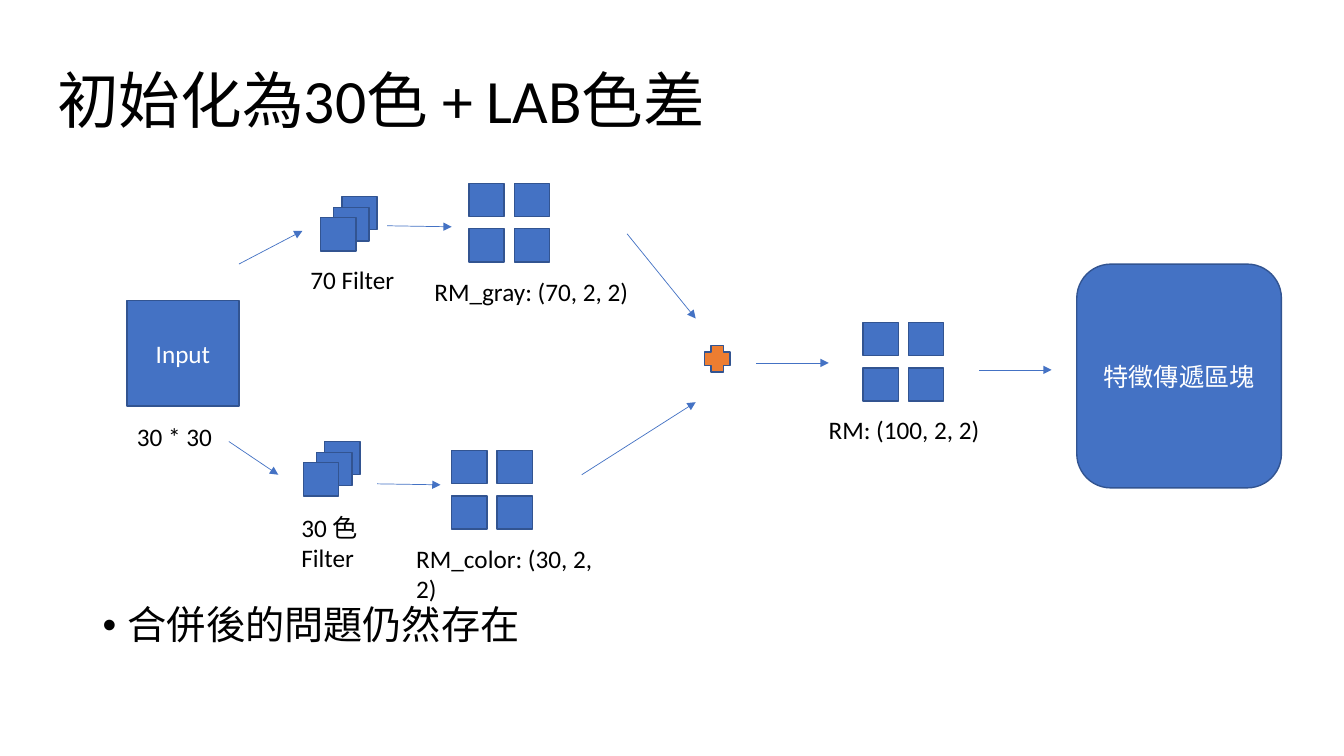
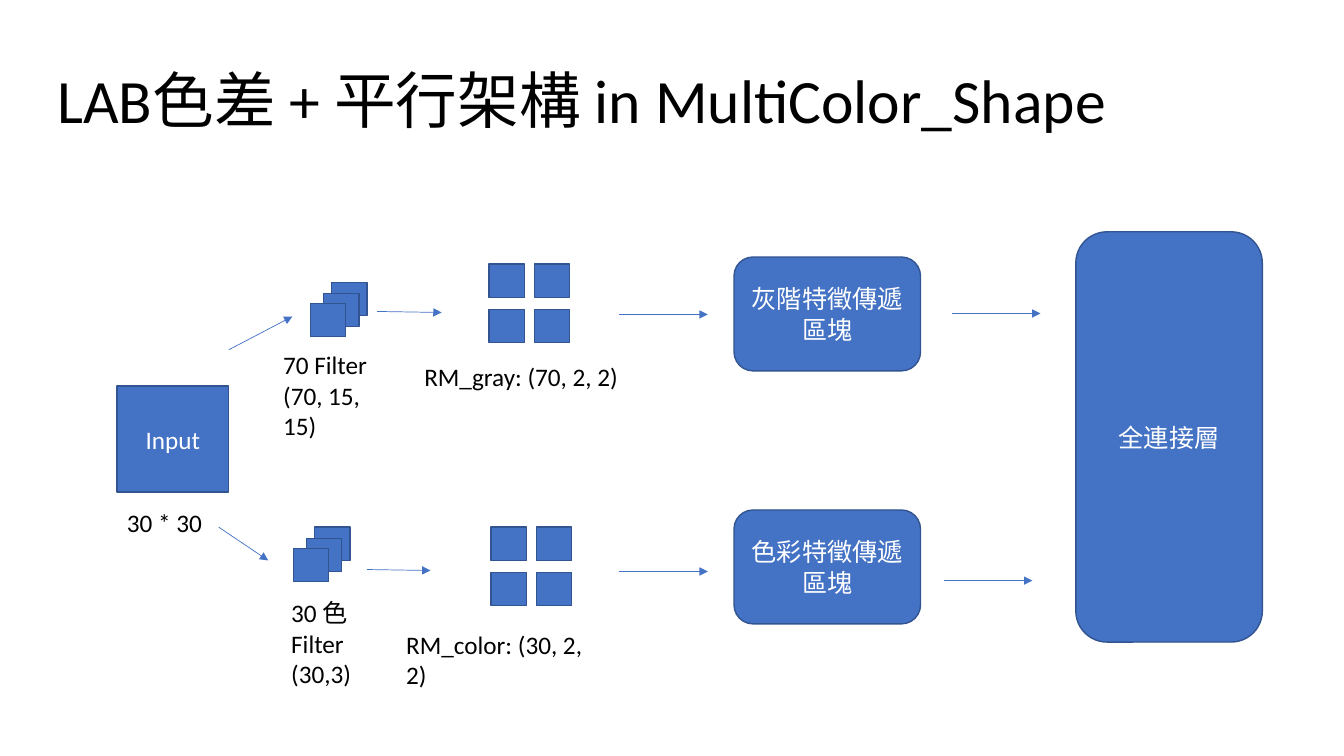
from dataclasses import dataclass
from itertools import product

from lxml.etree import SubElement
from pptx import Presentation
from pptx.dml.color import RGBColor
from pptx.enum.shapes import MSO_CONNECTOR as Connector, MSO_SHAPE as Preset
from pptx.enum.text import MSO_ANCHOR as Anchor, PP_ALIGN as Align
from pptx.oxml.ns import qn
from pptx.util import Inches, Pt


@dataclass(frozen=True)
class Theme:
    font: str = "Calibri"
    ink: str = "000000"
    paper: str = "FFFFFF"
    block: str = "4472C4"
    outline: str = "325491"
    accent: str = "ED7D31"
    title_size: int = 44
    body_size: int = 28
    label_size: int = 18
    outline_width: float = 1
    arrow_width: float = 0.5


@dataclass(frozen=True)
class Branch:
    """One filter path; every place is relative to the filter stack."""
    stack: tuple
    filter_label: tuple
    arrow: tuple
    map_label: tuple
    map_text: str


THEME = Theme()

# The grid has ten columns and ten rows to the inch
CELL = Inches(0.1)
TILE_W, TILE_H, TILE_STEP = 3.5, 3.3, 4.5
STACK_OFFSETS = ((2.1, 0), (1.3, 1.1), (0, 2.1))

GRAY = Branch((19.2, -10.3), (-2, 6.2), (6.6, 2.9, 13, 3),
              (10.3, 7.4), "RM_gray: (70, 2, 2)")
COLOR = Branch((17.5, 14), (-1.2, 6.5), (7.3, 4.2, 13.6, 4.3),
               (10.2, 9.6), "RM_color: (30, 2, 2)")


def cells(*counts):
    return [round(count * CELL) for count in counts]


def rgb(value):
    return RGBColor.from_string(value)


def style_text(frame, size, color):
    frame.word_wrap = True
    for paragraph in frame.paragraphs:
        for run in paragraph.runs:
            run.font.name = THEME.font
            run.font.size = Pt(size)
            run.font.color.rgb = rgb(color)


def add_text(slide, box, text, size=THEME.label_size):
    frame = slide.shapes.add_textbox(*cells(*box)).text_frame
    frame.text = text
    style_text(frame, size, THEME.ink)
    return frame


def add_block(slide, box, text="", preset=Preset.RECTANGLE, fill=THEME.block):
    block = slide.shapes.add_shape(preset, *cells(*box))
    block.shadow.inherit = False
    block.fill.solid()
    block.fill.fore_color.rgb = rgb(fill)
    block.line.color.rgb = rgb(THEME.outline)
    block.line.width = Pt(THEME.outline_width)
    if text:
        frame = block.text_frame
        frame.text = text
        frame.vertical_anchor = Anchor.MIDDLE
        frame.paragraphs[0].alignment = Align.CENTER
        style_text(frame, THEME.label_size, THEME.paper)


def add_arrow(slide, x1, y1, x2, y2):
    arrow = slide.shapes.add_connector(Connector.STRAIGHT, *cells(x1, y1, x2, y2))
    arrow.line.color.rgb = rgb(THEME.block)
    arrow.line.width = Pt(THEME.arrow_width)
    SubElement(arrow.line._get_or_add_ln(), qn("a:tailEnd"), type="triangle")
    SubElement(arrow._element.spPr, qn("a:effectLst"))


def add_title(slide, text):
    frame = add_text(slide, (4.7, 3, 115, 14.5), text, THEME.title_size)
    frame.vertical_anchor = Anchor.MIDDLE
    frame.paragraphs[0].line_spacing = 0.9


def add_bullet(slide, box, text):
    frame = add_text(slide, box, text, THEME.body_size)
    paragraph = frame.paragraphs[0]
    paragraph.line_spacing = 0.9
    properties = paragraph._p.get_or_add_pPr()
    properties.set("marL", str(Inches(0.25)))
    properties.set("indent", str(-Inches(0.25)))
    SubElement(properties, qn("a:buFont"), typeface="Arial")
    SubElement(properties, qn("a:buChar"), char="•")


def add_response_map(slide, left, top):
    """Two by two tiles."""
    for row, column in product(range(2), repeat=2):
        add_block(slide, (left + column * TILE_STEP, top + row * TILE_STEP,
                          TILE_W, TILE_H))


def add_input(slide, left, top):
    """Input square, its size, and the arrows to both branches."""
    add_block(slide, (left, top, 11.1, 10.5), "Input")
    add_text(slide, (left, top + 11.5, 9.5, 4), "30 * 30")
    add_arrow(slide, left + 11.1, top - 3.6, left + 17.4, top - 6.9)
    add_arrow(slide, left + 10.1, top + 14, left + 15, top + 17.3)


def add_branch(slide, left, top, branch, filter_text, filter_box, map_at):
    """Filter stack, arrow and response map, from the input's corner.

    filter_box is shift, width and height of the filter label.
    """
    x, y = left + branch.stack[0], top + branch.stack[1]
    for dx, dy in STACK_OFFSETS:
        add_block(slide, (x + dx, y + dy, TILE_W, TILE_H))
    shift, width, height = filter_box
    label_x, label_y = branch.filter_label
    add_text(slide, (x + label_x + shift, y + label_y, width, height), filter_text)
    x1, y1, x2, y2 = branch.arrow
    add_arrow(slide, x + x1, y + y1, x + x2, y + y2)
    add_response_map(slide, left + map_at[0], top + map_at[1])
    map_x, map_y = branch.map_label
    add_text(slide, (x + map_x, y + map_y, 21.8, 4), branch.map_text)


def build_merged(slide):
    """Both branches join before a single block."""
    add_title(slide, "初始化為30色 + LAB色差")
    add_bullet(slide, (9.2, 59.6, 115, 10.5), "合併後的問題仍然存在")
    left, top = 12.6, 29.8
    add_input(slide, left, top)
    add_branch(slide, left, top, GRAY, "70 Filter", (0, 11.1, 4), (33.9, -11.6))
    add_branch(slide, left, top, COLOR, "30 色 Filter", (0, 8.4, 7.1), (32.2, 14.9))

    # Merge
    add_arrow(slide, 62.2, 23.2, 69, 31.6)
    add_arrow(slide, 57.7, 47.1, 69, 39.9)
    add_block(slide, (69.9, 34.3, 2.5, 2.6), preset=Preset.CROSS, fill=THEME.accent)

    # Joint map and propagation
    add_arrow(slide, 75, 36, 82.2, 36)
    add_response_map(slide, 85.6, 32)
    add_text(slide, (81.2, 40.6, 17.7, 4), "RM: (100, 2, 2)")
    add_arrow(slide, 97.1, 36.7, 104.3, 36.7)
    add_block(slide, (106.8, 26.2, 20.3, 22.2), "特徵傳遞區塊", Preset.ROUNDED_RECTANGLE)


def build_parallel(slide):
    """Each branch keeps its own block up to the last layer."""
    add_title(slide, "LAB色差 + 平行架構 in MultiColor_Shape")
    left, top = 11.6, 38.3
    add_input(slide, left, top)
    add_branch(slide, left, top, GRAY, "70 Filter\n(70, 15, 15)",
               (-1.7, 12.9, 7.1), (36.9, -12.1))
    add_branch(slide, left, top, COLOR, "30 色 Filter\v(30,3)",
               (0, 8.4, 13.1), (37.1, 14))

    # Propagation per branch: block top, incoming arrow, outgoing arrow
    for text, block_top, arrow_in, out_x, arrow_out in (
            ("灰階特徵傳遞區塊", 25.5, 31.2, 94.4, 31.1),
            ("色彩特徵傳遞區塊", 50.6, 56.7, 93.6, 57.6)):
        add_arrow(slide, 61.4, arrow_in, 70.2, arrow_in)
        add_block(slide, (72.8, block_top, 18.5, 11.3), text, Preset.ROUNDED_RECTANGLE)
        add_arrow(slide, out_x, arrow_out, out_x + 8.8, arrow_out)

    # Last layer
    add_block(slide, (106.7, 23, 18.5, 40.7), "全連接層", Preset.ROUNDED_RECTANGLE)


def main():
    deck = Presentation()
    deck.slide_width, deck.slide_height = Inches(13.33), Inches(7.5)
    blank = deck.slide_layouts[6]
    for build in (build_merged, build_parallel):
        build(deck.slides.add_slide(blank))
    deck.save("out.pptx")


if __name__ == "__main__":
    main()
